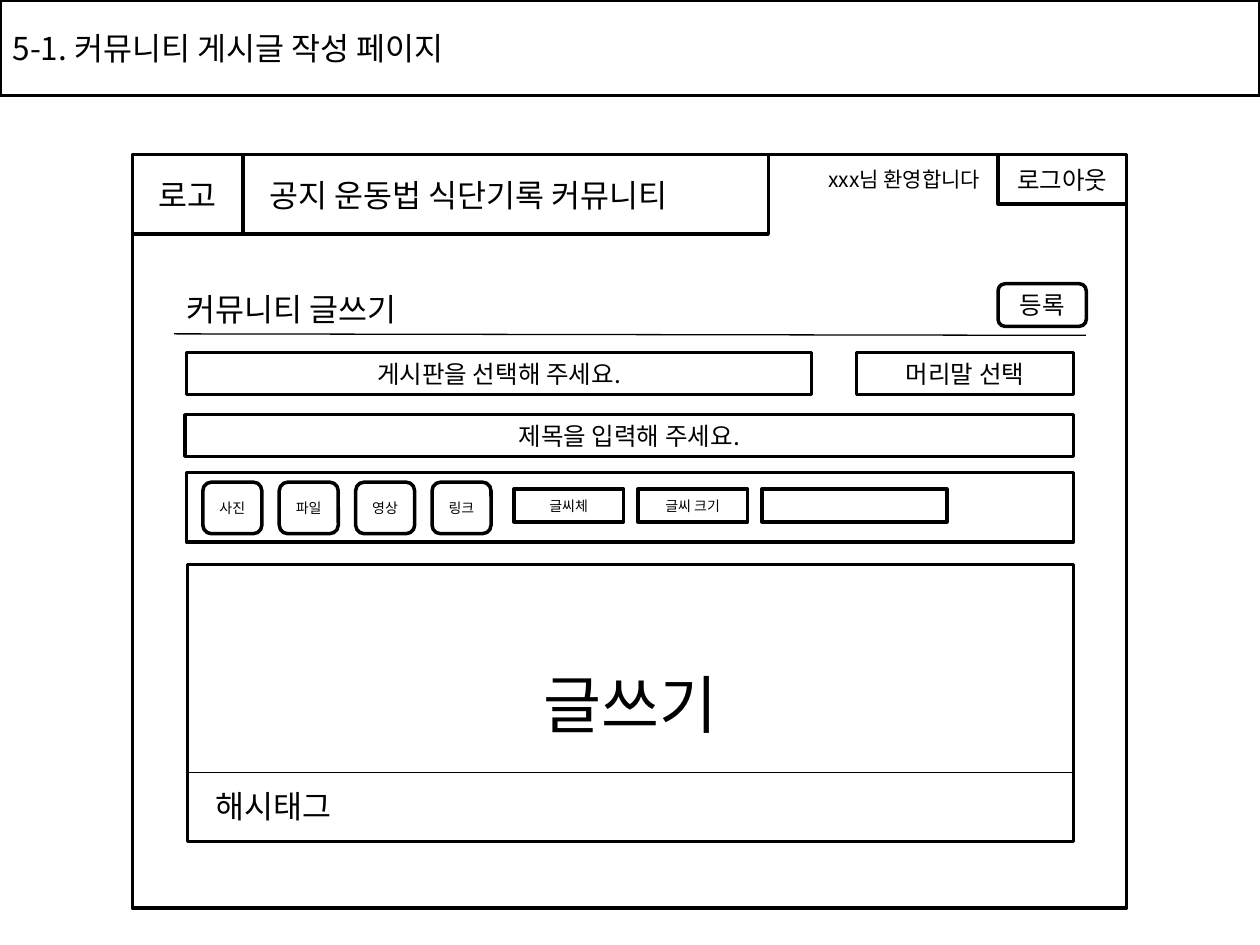
from dataclasses import dataclass
from typing import Optional

from lxml.etree import SubElement
from pptx import Presentation
from pptx.dml.color import RGBColor
from pptx.enum.shapes import MSO_CONNECTOR, MSO_SHAPE
from pptx.enum.text import MSO_ANCHOR, MSO_AUTO_SIZE, PP_ALIGN
from pptx.oxml.ns import qn
from pptx.util import Cm, Pt

FONT = "Noto Sans CJK KR"
INK = "000000"
PAPER = "FFFFFF"


@dataclass(frozen=True)
class Box:
    left: float
    top: float
    width: float
    height: float
    text: str = ""
    size: int = 14
    rounded: bool = False
    fill: Optional[str] = PAPER
    align: PP_ALIGN = PP_ALIGN.CENTER
    margin_left: float = 0.25


@dataclass(frozen=True)
class Label:
    left: float
    top: float
    width: float
    height: float
    text: str
    size: int = 18
    align: PP_ALIGN = PP_ALIGN.LEFT
    anchor: MSO_ANCHOR = MSO_ANCHOR.TOP
    margin_right: float = 0.25


@dataclass(frozen=True)
class Rule:
    start_x: float
    start_y: float
    end_x: float
    end_y: float


def color(value: str) -> RGBColor:
    return RGBColor.from_string(value)


def set_line(shape, width: float) -> None:
    shape.line.color.rgb = color(INK)
    shape.line.width = Pt(width)


def write_text(frame, text: str, size: int, align: PP_ALIGN, anchor: MSO_ANCHOR) -> None:
    frame.text = text
    frame.word_wrap = True
    frame.vertical_anchor = anchor
    para = frame.paragraphs[0]
    para.alignment = align
    for span in para.runs:
        span.font.size = Pt(size)
        span.font.name = FONT
        span.font.color.rgb = color(INK)
        SubElement(span.font._element, qn("a:ea"), typeface=FONT)


def draw_box(page, box: Box) -> None:
    kind = MSO_SHAPE.ROUNDED_RECTANGLE if box.rounded else MSO_SHAPE.RECTANGLE
    shape = page.shapes.add_shape(kind, Cm(box.left), Cm(box.top), Cm(box.width), Cm(box.height))
    shape.shadow.inherit = False
    set_line(shape, 2)
    if box.fill:
        shape.fill.solid()
        shape.fill.fore_color.rgb = color(box.fill)
    else:
        shape.fill.background()
    if box.text:
        write_text(shape.text_frame, box.text, box.size, box.align, MSO_ANCHOR.MIDDLE)
        shape.text_frame.margin_left = Cm(box.margin_left)


def draw_label(page, label: Label) -> None:
    shape = page.shapes.add_textbox(Cm(label.left), Cm(label.top), Cm(label.width), Cm(label.height))
    write_text(shape.text_frame, label.text, label.size, label.align, label.anchor)
    shape.text_frame.margin_right = Cm(label.margin_right)


def draw_rule(page, rule: Rule) -> None:
    connector = page.shapes.add_connector(
        MSO_CONNECTOR.STRAIGHT, Cm(rule.start_x), Cm(rule.start_y), Cm(rule.end_x), Cm(rule.end_y)
    )
    set_line(connector, 0.75)
    SubElement(connector._element.spPr, qn("a:effectLst"))


def draw_title(page, text: str) -> None:
    title = page.shapes.title
    title.left, title.top, title.width, title.height = Cm(0), Cm(0), Cm(25.4), Cm(1.93)
    set_line(title, 2)
    write_text(title.text_frame, text, 18, PP_ALIGN.LEFT, MSO_ANCHOR.MIDDLE)
    title.text_frame.auto_size = MSO_AUTO_SIZE.NONE


def draw_header(page) -> None:
    draw_box(page, Box(2.67, 3.12, 20.04, 15.19, fill=None))
    draw_box(page, Box(20.12, 3.12, 2.59, 0.99, "로그아웃", fill=None))
    draw_box(page, Box(2.67, 3.12, 2.24, 1.6, "로고", 18, fill=None))
    draw_box(page, Box(4.9, 3.12, 10.59, 1.6, "공지 운동법 식단기록 커뮤니티", 18,
                       fill=None, align=PP_ALIGN.LEFT, margin_left=0.54))
    draw_label(page, Label(15.49, 3.12, 4.62, 0.99, "xxx님 환영합니다", 12,
                           PP_ALIGN.RIGHT, MSO_ANCHOR.MIDDLE, 0.35))


def draw_form(page) -> None:
    draw_rule(page, Rule(3.51, 6.73, 21.89, 6.76))
    draw_label(page, Label(3.51, 5.72, 5.21, 1.02, "커뮤니티 글쓰기"))
    draw_box(page, Box(20.12, 5.72, 1.78, 0.86, "등록", rounded=True))
    draw_box(page, Box(3.76, 7.11, 12.6, 0.84, "게시판을 선택해 주세요."))
    draw_box(page, Box(3.73, 8.36, 17.91, 0.84, "제목을 입력해 주세요."))
    draw_box(page, Box(17.27, 7.11, 4.37, 0.84, "머리말 선택"))


def draw_toolbar(page) -> None:
    draw_box(page, Box(3.76, 9.53, 17.88, 1.4))
    for index, text in enumerate(["사진", "파일", "영상", "링크"]):
        draw_box(page, Box(4.09 + 1.54 * index, 9.72, 1.19, 1.04, text, 8, rounded=True))
    for index, (text, width) in enumerate([("글씨체", 2.21), ("글씨 크기", 2.21), ("", 3.73)]):
        draw_box(page, Box(10.36 + 2.5 * index, 9.86, width, 0.66, text, 8))


def draw_editor(page) -> None:
    draw_box(page, Box(3.78, 11.38, 17.86, 5.59, "글쓰기", 36))
    draw_rule(page, Rule(3.76, 15.57, 21.64, 15.57))
    draw_label(page, Label(4.09, 15.75, 5.79, 1.02, "해시태그"))


def main() -> None:
    deck = Presentation()
    deck.slide_width, deck.slide_height = Cm(25.4), Cm(19.05)
    page = deck.slides.add_slide(deck.slide_layouts.get_by_name("Title Only"))
    page.background.fill.solid()
    page.background.fill.fore_color.rgb = color(PAPER)
    draw_title(page, "5-1. 커뮤니티 게시글 작성 페이지")
    draw_header(page)
    draw_form(page)
    draw_toolbar(page)
    draw_editor(page)
    deck.save("out.pptx")


if __name__ == "__main__":
    main()
